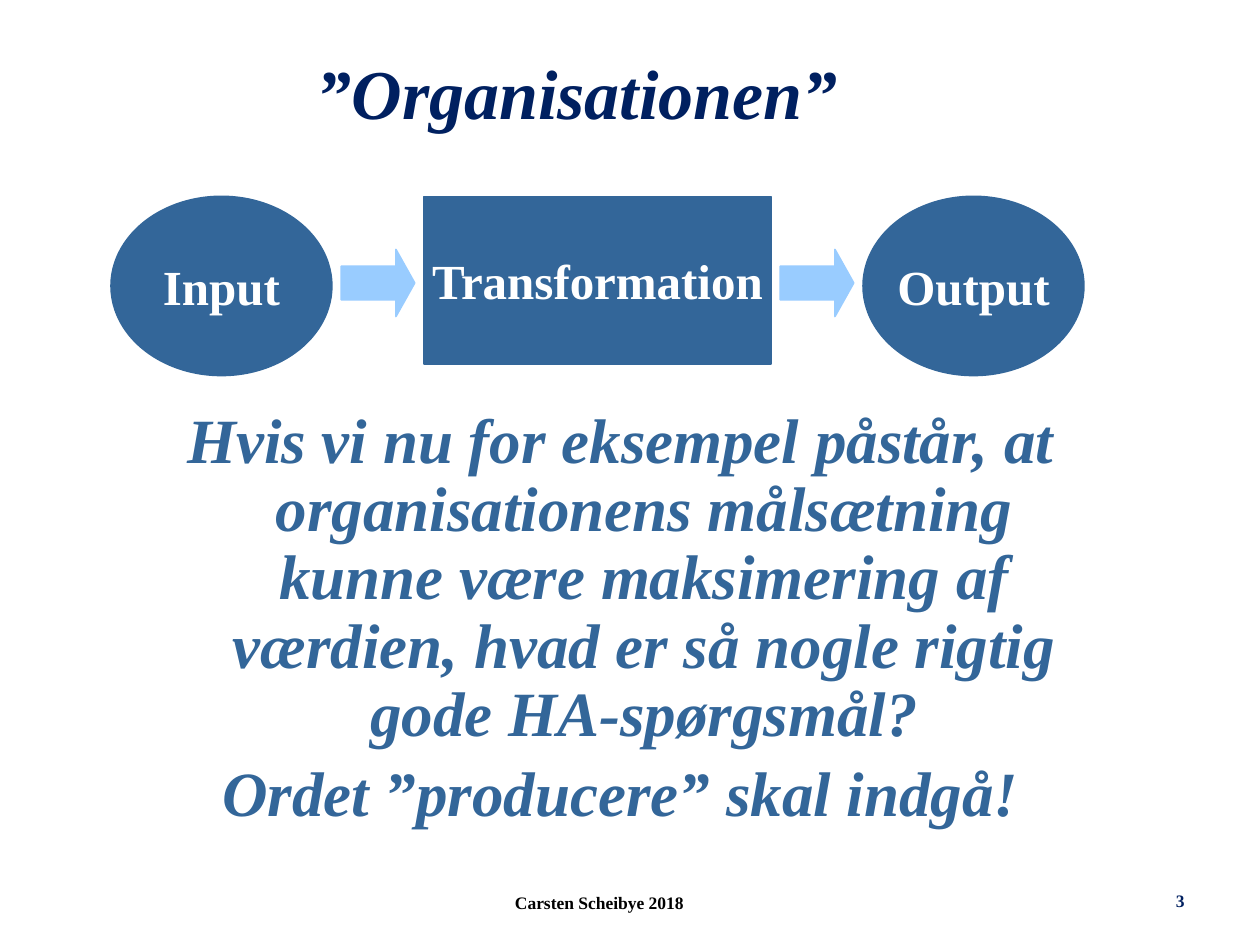
"""Build the "Organisationen" slide: an input-transformation-output flow and a question."""
import pptx
import pptx.dml.color
import pptx.enum.shapes
import pptx.enum.text
import pptx.util

Cm, Pt = pptx.util.Cm, pptx.util.Pt
RGBColor = pptx.dml.color.RGBColor
Shape = pptx.enum.shapes.MSO_SHAPE
Align = pptx.enum.text.PP_ALIGN
Anchor = pptx.enum.text.MSO_ANCHOR

NAVY = RGBColor(0x00, 0x20, 0x60)
STEEL = RGBColor(0x33, 0x66, 0x99)
SKY = RGBColor(0x99, 0xCC, 0xFF)
WHITE = RGBColor(0xFF, 0xFF, 0xFF)
BLACK = RGBColor(0x00, 0x00, 0x00)

TITLE = "”Organisationen”"
QUESTION = [
    "Hvis vi nu for eksempel påstår, at organisationens målsætning kunne være "
    "maksimering af værdien, hvad er så nogle rigtig gode HA-spørgsmål?",
    "Ordet ”producere” skal indgå!",
]
AUTHOR = "Carsten Scheibye 2018"
PAGE = "3"

STEPS = {
    "oval": (Shape.OVAL, 3.96, 4.45, 3.61, STEEL),
    "box": (Shape.RECTANGLE, 3.96, 6.99, 3.38, STEEL),
    "arrow": (Shape.RIGHT_ARROW, 5.03, 1.48, 1.35, SKY),
}
FLOW = [("oval", "Input"), ("arrow", ""), ("box", "Transformation"),
        ("arrow", ""), ("oval", "Output")]
FLOW_LEFT, FLOW_GAP = 2.24, 0.19

TITLE_FONT = {"size": Pt(40), "bold": True, "italic": True}
QUESTION_FONT = {"size": Pt(36), "bold": True, "italic": True}
LABEL_FONT = {"size": Pt(28), "bold": True}
FOOTER_FONT = {"size": Pt(10), "bold": True}


def write(shape, lines, font, color, align, anchor, wrap=True):
    frame = shape.text_frame
    frame.text = "\n".join(lines)
    layout = {"auto_size": pptx.enum.text.MSO_AUTO_SIZE.NONE,
              "vertical_anchor": anchor, "word_wrap": wrap}
    for name, value in layout.items():
        setattr(frame, name, value)
    for paragraph in frame.paragraphs:
        paragraph.alignment = align
        for run in paragraph.runs:
            for name, value in {"name": "Times New Roman", **font}.items():
                setattr(run.font, name, value)
            run.font.color.rgb = color


def add_text(slide, area, *text_format):
    box = slide.shapes.add_textbox(*map(Cm, area))
    write(box, *text_format)
    return box


def add_flow(slide):
    left = FLOW_LEFT
    for step, label in FLOW:
        preset, top, width, height, color = STEPS[step]
        shape = slide.shapes.add_shape(preset, Cm(left), Cm(top), Cm(width), Cm(height))
        shape.shadow.inherit = False
        shape.fill.solid()
        shape.fill.fore_color.rgb = color
        shape.line.color.rgb = color
        shape.line.width = Pt(1)
        if label:
            write(shape, [label], LABEL_FONT, WHITE, Align.CENTER, Anchor.MIDDLE, False)
        else:
            shape.adjustments[1] = 0.28
        left += width + FLOW_GAP


def main():
    deck = pptx.Presentation()
    deck.slide_width, deck.slide_height = Cm(25.4), Cm(19.05)
    slide = deck.slides.add_slide(deck.slide_layouts[5])

    title = slide.shapes.title
    title_area = {"left": 5.36, "top": 0.99, "width": 12.55, "height": 1.83}
    for name, value in title_area.items():
        setattr(title, name, Cm(value))
    write(title, [TITLE], TITLE_FONT, NAVY, Align.CENTER, Anchor.BOTTOM)

    add_flow(slide)

    question = add_text(slide, (2.59, 8.13, 19.84, 8.94), QUESTION, QUESTION_FONT,
                        STEEL, Align.CENTER, Anchor.TOP)
    for paragraph in question.text_frame.paragraphs:
        paragraph.line_spacing = 0.9
        paragraph.space_before = Pt(7.2)
        indent = paragraph._p.get_or_add_pPr()
        indent.set("marL", str(Cm(0.95)))
        indent.set("indent", str(-Cm(0.95)))

    add_text(slide, (6.15, 17.65, 11.86, 1.07), [AUTHOR], FOOTER_FONT,
             BLACK, Align.CENTER, Anchor.MIDDLE)
    add_text(slide, (18.21, 17.65, 5.92, 1.02), [PAGE], FOOTER_FONT,
             NAVY, Align.RIGHT, Anchor.MIDDLE)
    deck.save("out.pptx")


if __name__ == "__main__":
    main()
